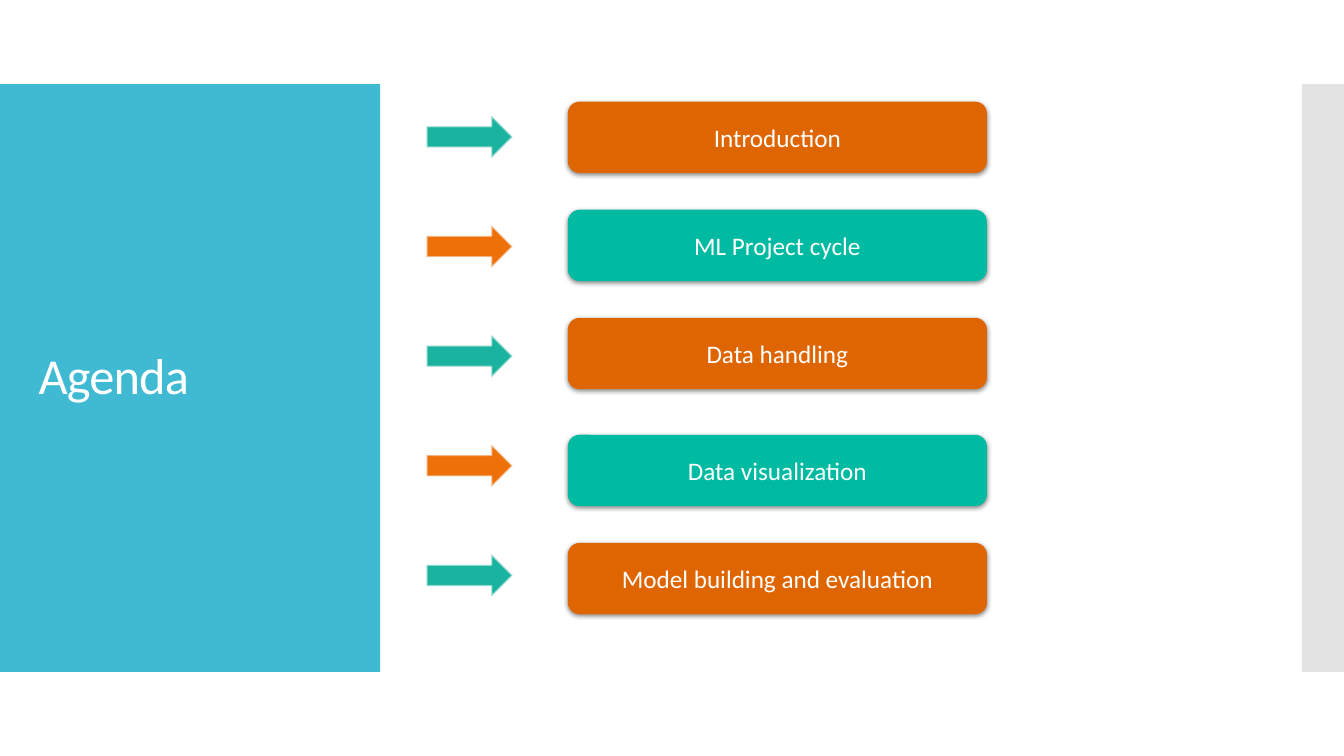
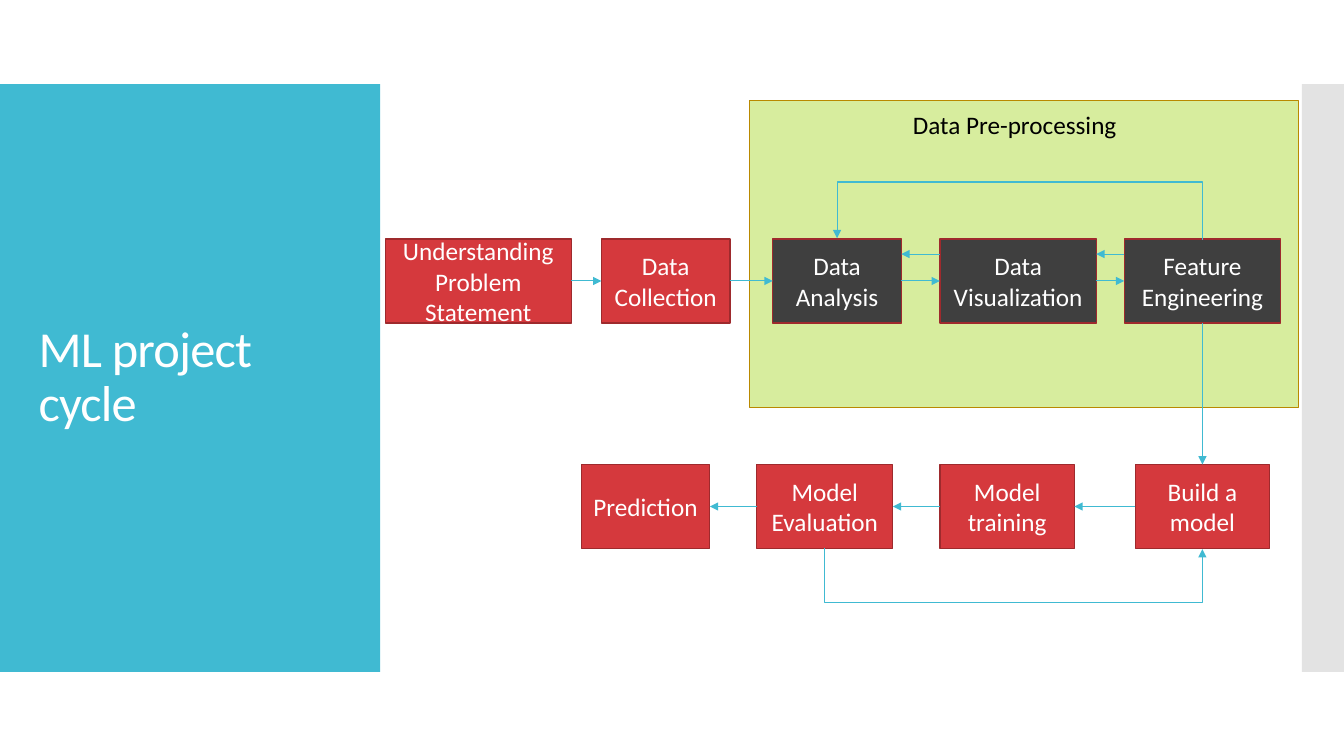
from pptx import Presentation
from pptx.dml.color import RGBColor
from pptx.enum.shapes import MSO_CONNECTOR as Link, MSO_SHAPE as Shape
from pptx.enum.text import MSO_ANCHOR as Anchor, MSO_AUTO_SIZE as Fit, PP_ALIGN as Align
from pptx.oxml import parse_xml
from pptx.oxml.ns import nsdecls, qn
from pptx.util import Inches, Pt

COLUMNS, ROWS, CELLS_PER_INCH = 160, 90, 12
FONT = "Calibri"
COLORS = {
    "band": "40BAD2", "edge": "C8C8C8", "white": "FFFFFF", "black": "000000",
    "orange": "DF6500", "green": "00BAA2", "arrow_orange": "EE7008",
    "arrow_green": "1AB39F", "arrow_line": "F9F9F9", "panel": "D7ED9E",
    "panel_line": "B98900", "red": "D5393D", "dark": "3F3F3F", "box_line": "9E2A2D",
}
TOP, LEFT, BOTTOM, RIGHT = range(4)


def cells(count):
    return Inches(count / CELLS_PER_INCH)


def paint(fill, color, alpha=None):
    fill.solid()
    fill.fore_color.rgb = RGBColor.from_string(COLORS[color])
    if alpha is not None:
        tint = fill._xPr.find(qn("a:solidFill"))[0]
        tint.append(parse_xml(f'<a:alpha {nsdecls("a")} val="{alpha * 1000}"/>'))


def write(frame, text, size=18, color="white", align=Align.CENTER,
          anchor=Anchor.MIDDLE, leading=None, tracking=None):
    frame.word_wrap = True
    frame.auto_size = Fit.NONE
    frame.vertical_anchor = anchor
    para = frame.paragraphs[0]
    para.alignment = align
    para.line_spacing = leading
    span = para.add_run()
    span.text = text
    span.font.name = FONT
    span.font.size = Pt(size)
    span.font.color.rgb = RGBColor.from_string(COLORS[color])
    if tracking is not None:
        span.font._element.set("spc", str(round(tracking * 100)))


class Painter:
    def __init__(self):
        self.deck = Presentation()
        self.deck.slide_width = cells(COLUMNS)
        self.deck.slide_height = cells(ROWS)
        self.layout = self.deck.slide_layouts.get_by_name("Title Only")
        self.page = None

    def start(self, title):
        first = self.page is None
        self.page = self.deck.slides.add_slide(self.layout)
        if first:
            self.share_bands()
        holder = self.page.shapes.title
        holder.left, holder.top = cells(3.4), cells(14.8)
        holder.width, holder.height = cells(38.6), cells(60.4)
        write(holder.text_frame, title, size=36, align=Align.LEFT,
              leading=0.9, tracking=-0.6)

    def share_bands(self):
        bands = (self.box(0, 10, 45.25, 70, "band"),
                 self.box(155, 10, 5, 70, "edge", alpha=50))
        for place, band in enumerate(bands, start=2):
            self.layout.shapes.element.insert(place, band.element)

    def box(self, column, row, width, height, fill, text=None, kind=Shape.RECTANGLE,
            line=None, weight=0.85, alpha=None, line_alpha=None):
        box = self.page.shapes.add_shape(
            kind, cells(column), cells(row), cells(width), cells(height))
        box.shadow.inherit = False
        paint(box.fill, fill, alpha)
        if line:
            box.line.width = Pt(weight)
            paint(box.line.fill, line, line_alpha)
        else:
            box.line.fill.background()
        if text:
            write(box.text_frame, text)
        return box

    def button(self, column, row, width, height, fill, text):
        box = self.box(column, row, width, height, fill, text, Shape.ROUNDED_RECTANGLE)
        effects = box.element.spPr.find(qn("a:effectLst"))
        effects.append(parse_xml(
            f'<a:outerShdw {nsdecls("a")} blurRad="{Pt(3.5)}" dist="{Pt(1.1)}" '
            f'dir="5400000" rotWithShape="0"><a:srgbClr val="{COLORS["black"]}">'
            '<a:alpha val="45000"/></a:srgbClr></a:outerShdw>'))

    def label(self, column, row, width, height, text):
        box = self.page.shapes.add_textbox(
            cells(column), cells(row), cells(width), cells(height))
        write(box.text_frame, text, color="black", align=Align.LEFT, anchor=Anchor.TOP)

    def arrow(self, start=(0, 0), end=(0, 0), kind=Link.STRAIGHT):
        arrow = self.page.shapes.add_connector(
            kind, *(cells(value) for value in (*start, *end)))
        arrow.line.width = Pt(0.75)
        paint(arrow.line.fill, "band")
        arrow.line._get_or_add_ln().append(
            parse_xml(f'<a:tailEnd {nsdecls("a")} type="triangle"/>'))
        arrow.element.spPr.append(parse_xml(f'<a:effectLst {nsdecls("a")}/>'))
        return arrow

    def join(self, source, source_side, target, target_side):
        arrow = self.arrow()
        arrow.begin_connect(source, source_side)
        arrow.end_connect(target, target_side)

    def loop(self, source, target, side, depth):
        thin = 0.15
        start, end = (box.left + box.width // 2 for box in (source, target))
        edge = source.top if side == TOP else source.top + source.height
        arrow = self.arrow(kind=Link.ELBOW)
        arrow.width, arrow.height = cells(thin), abs(end - start)
        arrow.left = (start + end - arrow.width) // 2
        arrow.top = edge - arrow.height // 2
        frame = arrow.element.spPr.find(qn("a:xfrm"))
        frame.set("rot", str(270 * 60000))
        frame.set("flipV" if side == TOP else "flipH", "1")
        shape = arrow.element.spPr.find(qn("a:prstGeom"))
        guides = shape.get_or_add_avLst()
        guides.append(parse_xml(
            f'<a:gd {nsdecls("a")} name="adj1" fmla="val {round(depth / thin * 100000)}"/>'))


def agenda(painter):
    painter.start("Agenda")
    topics = ("Introduction", "ML Project cycle", "Data handling",
              "Data visualization", "Model building and evaluation")
    for index, topic in enumerate(topics):
        odd = index % 2
        extra_gap = 1.05 if index > 2 else 0
        painter.button(67.6, 12.1 + 12.87 * index + extra_gap, 49.9, 8.5,
                       "green" if odd else "orange", topic)
        painter.box(50.8, 13.8 + 13.05 * index, 10.2, 5,
                    "arrow_orange" if odd else "arrow_green", kind=Shape.RIGHT_ARROW,
                    line="arrow_line", weight=1.35, line_alpha=50)


def project_cycle(painter):
    painter.start("ML project cycle")
    painter.box(89.2, 12, 65.4, 36.5, "panel", line="panel_line")
    painter.label(107.5, 12.4, 40.7, 4.8, "Data Pre-processing")

    def stages(row, items):
        return [painter.box(column, row, width, 10, fill, text, line="box_line")
                for column, width, fill, text in items]

    preparation = stages(28.45, (
        (45.9, 22.1, "red", "Understanding Problem Statement"),
        (71.6, 15.3, "red", "Data Collection"),
        (92, 15.3, "dark", "Data Analysis"),
        (111.9, 18.6, "dark", "Data Visualization"),
        (133.85, 18.6, "dark", "Feature Engineering"),
    ))
    modelling = stages(55.3, (
        (135.15, 16, "red", "Build a model"),
        (111.9, 16, "red", "Model training"),
        (90.1, 16.2, "red", "Model Evaluation"),
        (69.2, 15.3, "red", "Prediction"),
    ))
    for source, target in zip(preparation, preparation[1:]):
        painter.join(source, RIGHT, target, LEFT)
    for source, target in zip(modelling, modelling[1:]):
        painter.join(source, LEFT, target, RIGHT)
    for start, end in ((133.85, 130.5), (111.9, 107.3)):
        painter.arrow((start, 30.25), (end, 30.25))

    analysis, features = preparation[2], preparation[-1]
    build, evaluation = modelling[0], modelling[2]
    painter.join(features, BOTTOM, build, TOP)
    painter.loop(features, analysis, TOP, 6.8)
    painter.loop(evaluation, build, BOTTOM, 6.5)


def main():
    painter = Painter()
    agenda(painter)
    project_cycle(painter)
    painter.deck.save("out.pptx")


if __name__ == "__main__":
    main()
